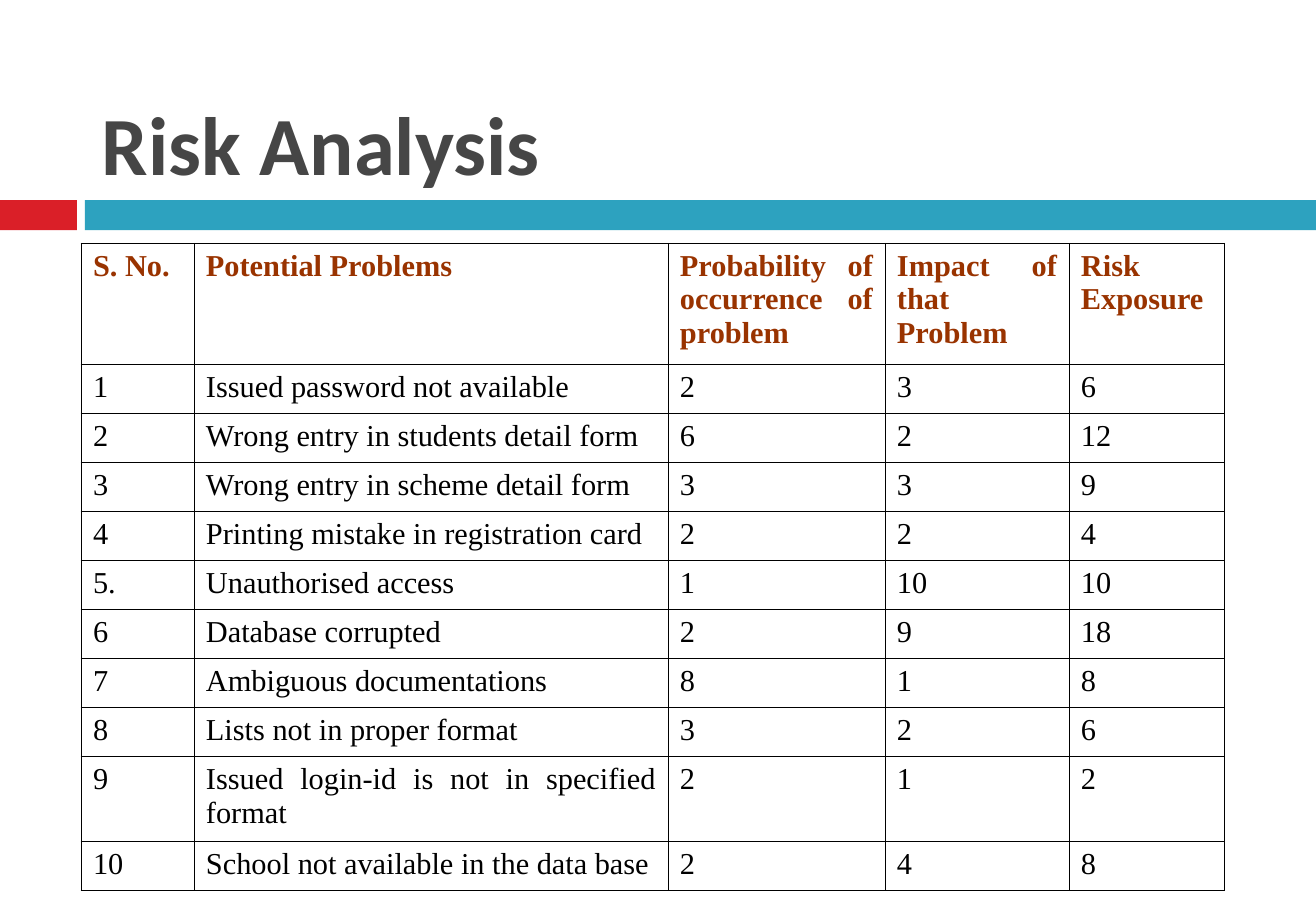
import pptx
import pptx.util
import pptx.oxml
import pptx.oxml.ns
import pptx.dml.color
import pptx.enum.shapes
import pptx.enum.text

SCALE = 7532  # EMU in one px
COLORS = {"red": "DA1F28", "teal": "2DA2BF", "title": "464646",
          "header": "993300", "body": "000000", "border": "000000"}
COLUMN_WIDTHS = [113, 474, 217, 184, 155]
HEADER_HEIGHT, ROW_HEIGHT, TALL_ROW_HEIGHT = 121, 49, 85
TALL_ROW = 9
HEADER = ["S. No.", "Potential Problems", "Probability of occurrence of problem",
          "Impact of that Problem", "Risk Exposure"]
RISKS = [
    ("1", "Issued password not available", 2, 3, 6),
    ("2", "Wrong entry in students detail form", 6, 2, 12),
    ("3", "Wrong entry in scheme detail form", 3, 3, 9),
    ("4", "Printing mistake in registration card", 2, 2, 4),
    ("5.", "Unauthorised access", 1, 10, 10),
    ("6", "Database corrupted", 2, 9, 18),
    ("7", "Ambiguous documentations", 8, 1, 8),
    ("8", "Lists not in proper format", 3, 2, 6),
    ("9", "Issued login-id is not in specified format", 2, 1, 2),
    ("10", "School not available in the data base", 2, 4, 8),
]


def px(length):
    return pptx.util.Emu(length * SCALE)


def color(name):
    return pptx.dml.color.RGBColor.from_string(COLORS[name])


def set_font(para, name, size, color_name, bold):
    para.font.name = name
    para.font.size = pptx.util.Pt(size)
    para.font.bold = bold
    para.font.color.rgb = color(color_name)


def add_band(page, left, top, width, height):
    """Red block, a gap, then the teal bar."""
    red_width, gap = 77, 8
    teal_left = red_width + gap
    for offset, bar_width, name in ((0, red_width, "red"),
                                    (teal_left, width - teal_left, "teal")):
        bar = page.shapes.add_shape(pptx.enum.shapes.MSO_SHAPE.RECTANGLE,
                                    px(left + offset), px(top), px(bar_width), px(height))
        bar.shadow.inherit = False
        bar.fill.solid()
        bar.fill.fore_color.rgb = color(name)
        bar.line.fill.background()


def add_title(page, left, top, width, height):
    box = page.shapes.add_textbox(px(left), px(top), px(width), px(height))
    frame = box.text_frame
    frame.word_wrap = True
    frame.vertical_anchor = pptx.enum.text.MSO_ANCHOR.BOTTOM
    frame.margin_left = frame.margin_right = px(14)
    frame.margin_top = frame.margin_bottom = px(7)
    para = frame.paragraphs[0]
    para.text = "Risk Analysis"
    set_font(para, "Calibri", 49, "title", True)


def add_borders(cell):
    properties = cell._tc.get_or_add_tcPr()
    for position, side in enumerate(("lnL", "lnR", "lnT", "lnB")):
        properties.insert(position, pptx.oxml.parse_xml(
            f'<a:{side} {pptx.oxml.ns.nsdecls("a")} w="5715"><a:solidFill>'
            f'<a:srgbClr val="{COLORS["border"]}"/></a:solidFill></a:{side}>'))


def fill_cell(cell, text, is_header):
    cell.fill.background()
    cell.margin_left = cell.margin_right = px(12)
    cell.margin_top = cell.margin_bottom = px(6)
    para = cell.text_frame.paragraphs[0]
    para.text = text
    para.alignment = pptx.enum.text.PP_ALIGN.JUSTIFY
    set_font(para, "Times New Roman", 18, "header" if is_header else "body", is_header)
    add_borders(cell)


def add_risk_table(page, left, top):
    rows = [HEADER] + RISKS
    heights = [HEADER_HEIGHT] + [ROW_HEIGHT] * len(RISKS)
    heights[TALL_ROW] = TALL_ROW_HEIGHT
    table = page.shapes.add_table(len(rows), len(HEADER), px(left), px(top),
                                  px(sum(COLUMN_WIDTHS)), px(sum(heights))).table
    table.horz_banding = False
    table.first_row = False
    for column, width in zip(table.columns, COLUMN_WIDTHS):
        column.width = px(width)
    for row_index, (values, height) in enumerate(zip(rows, heights)):
        table.rows[row_index].height = px(height)
        for column_index, value in enumerate(values):
            fill_cell(table.cell(row_index, column_index), str(value), row_index == 0)


def main():
    deck = pptx.Presentation()
    deck.slide_width = pptx.util.Inches(10.84)
    deck.slide_height = pptx.util.Inches(7.5)
    page = deck.slides.add_slide(deck.slide_layouts[6])
    add_band(page, 0, 200, 1316, 30)
    add_title(page, 88, 21, 1172, 178)
    add_risk_table(page, 81, 243)
    deck.save("out.pptx")


if __name__ == "__main__":
    main()
